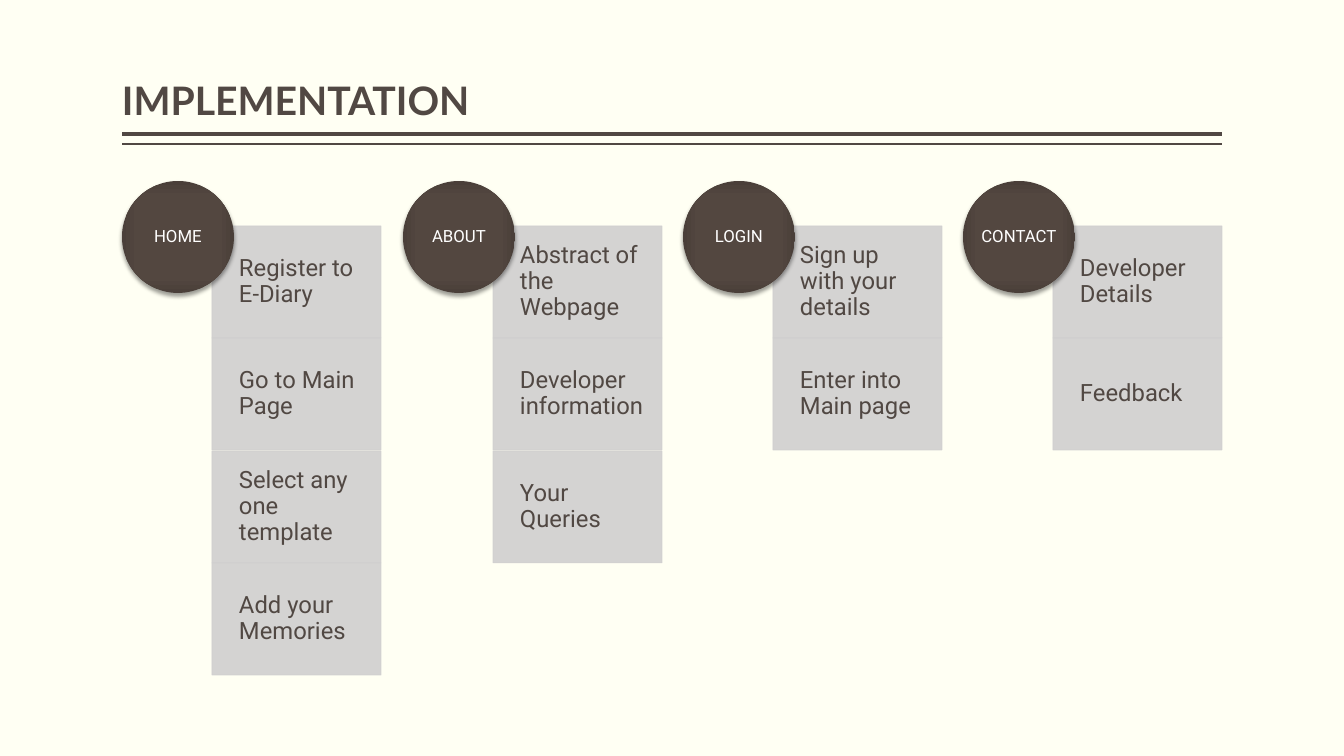
from math import ceil

from lxml.etree import SubElement
from pptx import Presentation
from pptx.dml.color import RGBColor
from pptx.enum.shapes import MSO_CONNECTOR, MSO_SHAPE as SHAPE
from pptx.enum.text import MSO_ANCHOR as ANCHOR, PP_ALIGN as ALIGN
from pptx.oxml import parse_xml
from pptx.oxml.ns import nsdecls, qn
from pptx.util import Pt

EMU_PER_PX = 914400 / 100.8
IVORY = RGBColor(0xFF, 0xFF, 0xF3)
BROWN = RGBColor(0x51, 0x48, 0x43)
GREY = RGBColor(0xD0, 0xCF, 0xCF)
WHITE = RGBColor(0xFF, 0xFF, 0xFF)
BADGE_STOPS = [(0, "544740"), (71, "534740"), (100, "4A3F39")]

LEFT, RIGHT = 122, 1222
BADGE_TOP, BADGE_SIZE = 181, 112
STEP_TOP, STEP_INDENT, STEP_WIDTH, STEP_HEIGHT = 226, 90, 169, 112
COLUMN_SPAN = RIGHT - LEFT - STEP_INDENT - STEP_WIDTH

MENU = {
    "HOME": ["Register to E-Diary", "Go to Main Page",
             "Select any one template", "Add your Memories"],
    "ABOUT": ["Abstract of the Webpage", "Developer information", "Your Queries"],
    "LOGIN": ["Sign up with your details", "Enter into Main page"],
    "CONTACT": ["Developer Details", "Feedback"],
}


def px(length):
    return round(length * EMU_PER_PX)


def write(shape, text, size, color, font="Roboto", bold=False,
          align=ALIGN.LEFT, anchor=ANCHOR.MIDDLE, insets=(0, 0, 0, 0)):
    """Fill the shape with one paragraph; insets run left, top, right, bottom."""
    frame = shape.text_frame
    frame.word_wrap = True
    frame.vertical_anchor = anchor
    (frame.margin_left, frame.margin_top,
     frame.margin_right, frame.margin_bottom) = map(px, insets)
    paragraph = frame.paragraphs[0]
    paragraph.alignment = align
    paragraph.line_spacing = 0.9
    run = paragraph.add_run()
    run.text = text
    run.font.name = font
    run.font.size = Pt(size)
    run.font.bold = bold
    run.font.color.rgb = color


class MenuSlide:
    def __init__(self, presentation):
        self.slide = presentation.slides.add_slide(presentation.slide_layouts[6])
        self.shapes = self.slide.shapes
        background = self.slide.background.fill
        background.solid()
        background.fore_color.rgb = IVORY

    def title(self, text):
        box = self.shapes.add_textbox(px(LEFT), px(8), px(RIGHT - LEFT), px(121))
        write(box, text, 28, BROWN, font="Lato", bold=True,
              anchor=ANCHOR.BOTTOM, insets=(0, 5, 0, 5))

    def rule(self, y, weight):
        line = self.shapes.add_connector(
            MSO_CONNECTOR.STRAIGHT, px(RIGHT), px(y), px(LEFT), px(y))
        line.line.color.rgb = BROWN
        line.line.width = Pt(weight)
        SubElement(line._element.spPr, qn("a:effectLst"))

    def step(self, text, x, y):
        """Draw a translucent grey box of a menu column."""
        box = self.shapes.add_shape(
            SHAPE.RECTANGLE, px(x), px(y), px(STEP_WIDTH), px(STEP_HEIGHT))
        box.shadow.inherit = False
        box.fill.solid()
        box.fill.fore_color.rgb = GREY
        box.line.color.rgb = GREY
        box.line.width = Pt(0.5)
        for color in box._element.spPr.iter(qn("a:srgbClr")):
            SubElement(color, qn("a:alpha"), val="90000")
        write(box, text, 17, BROWN, insets=(27, 13, 13, 13))

    def badge(self, text, x, y):
        """Draw a round column heading with a gradient and a soft shadow."""
        circle = self.shapes.add_shape(
            SHAPE.OVAL, px(x), px(y), px(BADGE_SIZE), px(BADGE_SIZE))
        circle.shadow.inherit = False
        circle.fill.solid()
        circle.line.fill.background()
        properties = circle._element.spPr
        stops = "".join(
            f'<a:gs pos="{position * 1000}"><a:srgbClr val="{color}"/></a:gs>'
            for position, color in BADGE_STOPS)
        gradient = parse_xml(
            f'<a:gradFill {nsdecls("a")} rotWithShape="1"><a:gsLst>{stops}</a:gsLst>'
            '<a:path path="rect"><a:fillToRect l="50000" t="50000" r="50000" b="50000"/>'
            '</a:path></a:gradFill>')
        properties.replace(properties.find(qn("a:solidFill")), gradient)
        shadow = SubElement(
            properties.find(qn("a:effectLst")), qn("a:outerShdw"),
            blurRad=str(Pt(3.1)), dist=str(Pt(2)), dir="5400000", rotWithShape="0")
        black = SubElement(shadow, qn("a:srgbClr"), val="000000")
        SubElement(black, qn("a:alpha"), val="38000")
        write(circle, text, 12, WHITE, align=ALIGN.CENTER)


def main():
    presentation = Presentation()
    presentation.slide_width = px(1344)
    presentation.slide_height = px(756)
    page = MenuSlide(presentation)
    page.rule(134, 3)
    page.rule(144, 1)
    page.title("IMPLEMENTATION")
    for column, (heading, steps) in enumerate(MENU.items()):
        x = LEFT + ceil(COLUMN_SPAN * column / (len(MENU) - 1))
        for row, text in enumerate(steps):
            page.step(text, x + STEP_INDENT, STEP_TOP + round(112.3 * row))
        page.badge(heading, x, BADGE_TOP)
    presentation.save("out.pptx")


if __name__ == "__main__":
    main()
